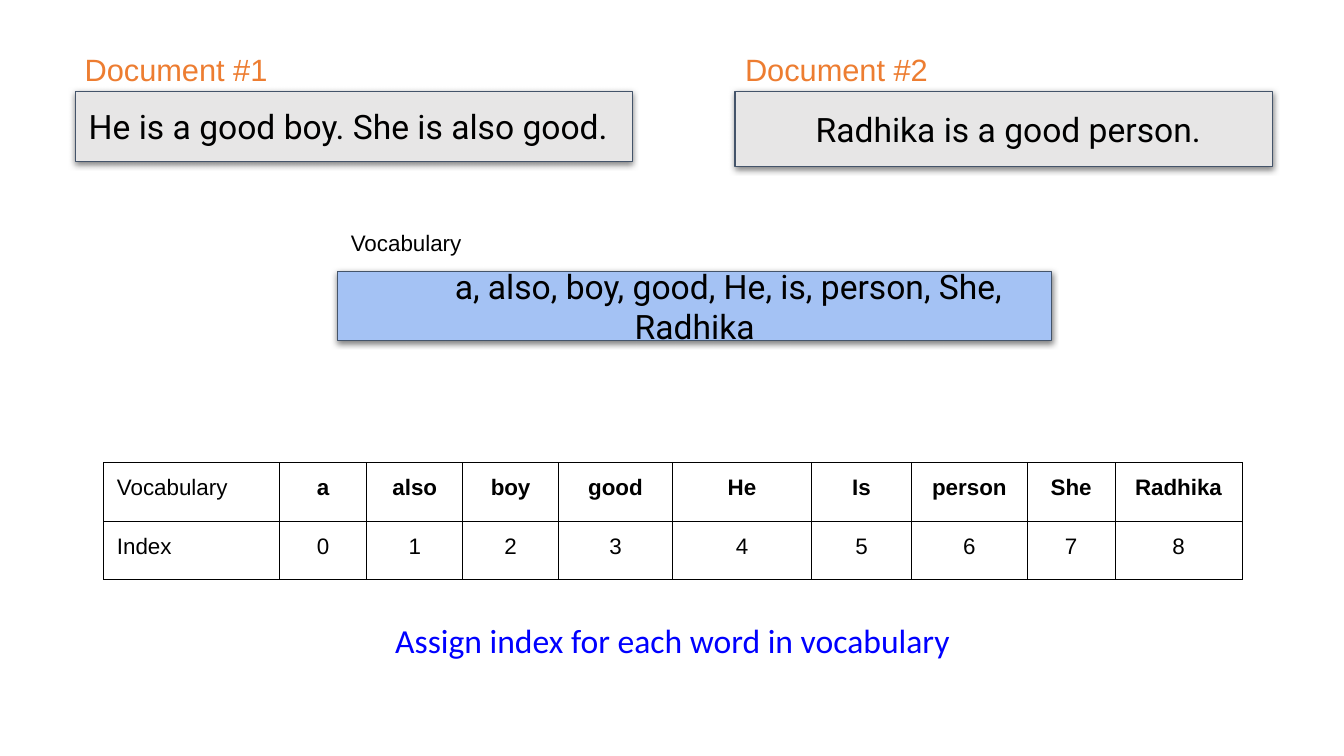
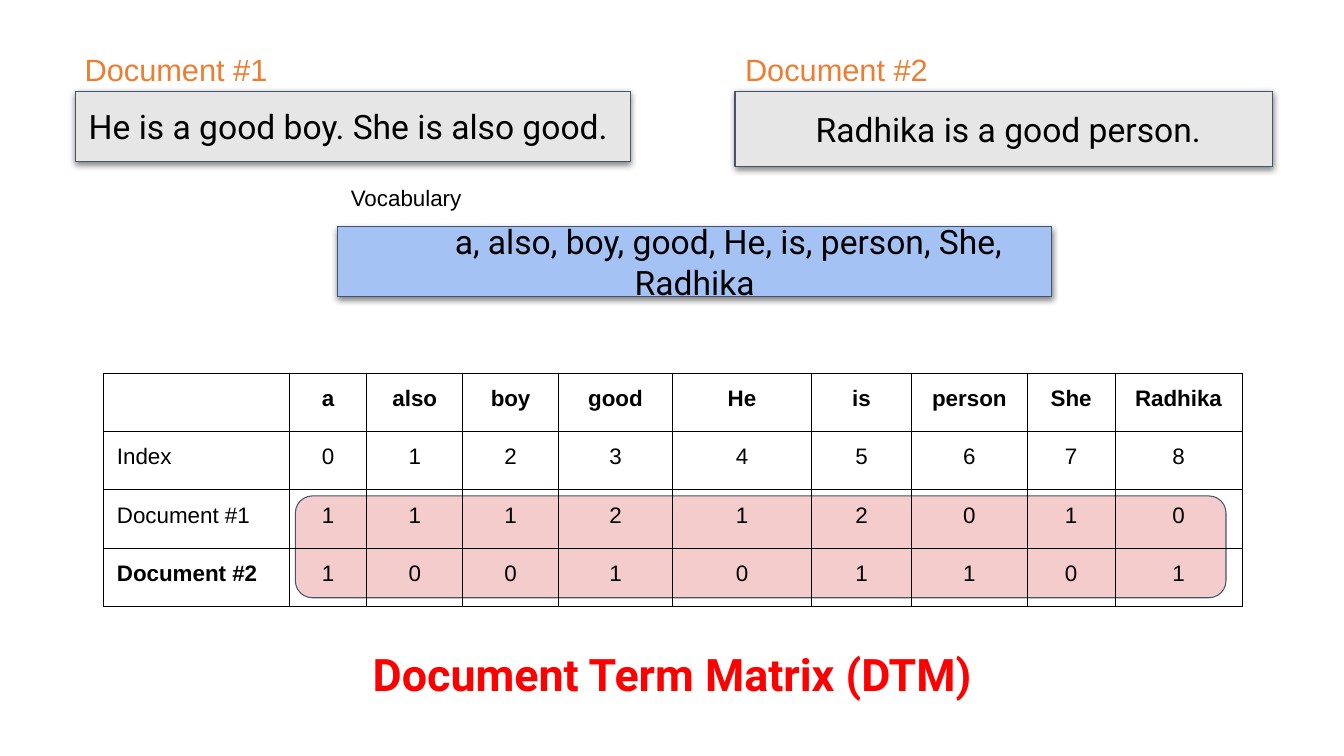
"""Build two slides that turn two short documents into a document term matrix."""
from lxml.etree import SubElement
from pptx import Presentation
from pptx.dml.color import RGBColor
from pptx.enum.shapes import MSO_SHAPE
from pptx.enum.text import MSO_ANCHOR, MSO_AUTO_SIZE, PP_ALIGN
from pptx.oxml import parse_xml
from pptx.oxml.ns import nsdecls, qn
from pptx.util import Inches, Pt

BLACK, ORANGE, SLATE = "000000", "ED7D31", "44546A"
GREY, SKY, PINK = "E7E6E6", "A4C2F4", "F4CCCC"
MARGIN = Inches(0.13)
ROW_HEIGHT = 0.58
WORD_WIDTHS = [0.95, 0.95, 1.13, 1.38, 0.99, 1.15, 0.87, 1.26]
SHADOW = (f'<a:effectLst {nsdecls("a")}><a:outerShdw blurRad="57150" dist="19050" '
          'dir="5400000" algn="bl" rotWithShape="0"><a:srgbClr val="000000">'
          '<a:alpha val="50000"/></a:srgbClr></a:outerShdw></a:effectLst>')


def colour(value):
    return RGBColor.from_string(value)


def write(frame, text, size, font="Arial", ink=BLACK, bold=False,
          align=PP_ALIGN.LEFT, anchor=MSO_ANCHOR.TOP, indent=0):
    frame.word_wrap = True
    frame.auto_size = MSO_AUTO_SIZE.NONE
    frame.vertical_anchor = anchor
    frame.margin_left = frame.margin_right = MARGIN
    frame.margin_top = frame.margin_bottom = MARGIN
    para = frame.paragraphs[0]
    para.text = text
    para.alignment = align
    para._p.get_or_add_pPr().set("indent", str(Inches(indent)))
    para.font.size = Pt(size)
    para.font.name = font
    para.font.bold = bold
    para.font.color.rgb = colour(ink)


deck = Presentation()
deck.slide_width, deck.slide_height = Inches(13.33), Inches(7.5)

INDEX_ROW = ["Index", *"012345678"]
pages = [
    dict(title="Assign index for each word in vocabulary", title_top=6.04,
         title_style=dict(size=24, font="Calibri", ink="0000FF"),
         first_width=5.52, vocabulary_top=2.14, table_top=4.59,
         lead_widths=[1.74, 0.87], highlight=None,
         rows=[["Vocabulary", "a", "also", "boy", "good", "He", "Is", "person", "She", "Radhika"],
               INDEX_ROW]),
    dict(title="Document Term Matrix (DTM)", title_top=6.37,
         title_style=dict(size=32, font="Roboto", ink="FF0000", bold=True),
         first_width=5.5, vocabulary_top=1.7, table_top=3.7,
         lead_widths=[1.84, 0.77], highlight=(2.93, 4.92, 9.23, 1.01),
         rows=[["", "a", "also", "boy", "good", "He", "is", "person", "She", "Radhika"],
               INDEX_ROW,
               ["Document #1", *"111212010"],
               ["Document #2", *"100101101"]]),
]

for content in pages:
    page = deck.slides.add_slide(deck.slide_layouts[5])
    title = page.shapes.title
    title.left, title.top = Inches(1.38), Inches(content["title_top"])
    title.width, title.height = Inches(10.58), Inches(0.62)
    write(title.text_frame, content["title"], align=PP_ALIGN.CENTER,
          anchor=MSO_ANCHOR.MIDDLE, **content["title_style"])

    if content["highlight"]:
        highlight = page.shapes.add_shape(
            MSO_SHAPE.ROUNDED_RECTANGLE, *map(Inches, content["highlight"]))
        highlight.shadow.inherit = False
        highlight.fill.solid()
        highlight.fill.fore_color.rgb = colour(PINK)
        highlight.line.color.rgb = colour(SLATE)
        highlight.line.width = Pt(0.75)

    vocabulary_top = content["vocabulary_top"]
    boxes = [
        (0.75, 0.91, content["first_width"], 0.69, GREY,
         "He is a good boy. She is also good.", PP_ALIGN.LEFT, 0),
        (7.29, 0.91, 5.33, 0.74, GREY,
         "Radhika is a good person.", PP_ALIGN.LEFT, 0.67),
        (3.35, vocabulary_top + 0.55, 7.08, 0.69, SKY,
         "a, also, boy, good, He, is, person, She, Radhika", PP_ALIGN.CENTER, 0.67),
    ]
    for left, top, width, height, fill, text, align, indent in boxes:
        box = page.shapes.add_shape(
            MSO_SHAPE.RECTANGLE, *map(Inches, (left, top, width, height)))
        box.fill.solid()
        box.fill.fore_color.rgb = colour(fill)
        box.line.color.rgb = colour(SLATE)
        box.line.width = Pt(0.75)
        box._element.spPr.append(parse_xml(SHADOW))
        write(box.text_frame, text, 24, "Roboto", align=align,
              anchor=MSO_ANCHOR.MIDDLE, indent=indent)

    labels = [
        ("Document #1", 0.71, 0.37, 5.33, 22, ORANGE),
        ("Document #2", 7.26, 0.37, 5.33, 22, ORANGE),
        ("Vocabulary", 3.35, vocabulary_top, 6.64, 16, BLACK),
    ]
    for text, left, top, width, size, ink in labels:
        label = page.shapes.add_textbox(*map(Inches, (left, top, width, 0.55)))
        write(label.text_frame, text, size, ink=ink)

    rows = content["rows"]
    widths = content["lead_widths"] + WORD_WIDTHS
    table = page.shapes.add_table(
        len(rows), len(widths), Inches(1.03), Inches(content["table_top"]),
        Inches(sum(widths)), Inches(ROW_HEIGHT * len(rows))).table
    table.first_row = table.horz_banding = False
    for column, width in zip(table.columns, widths):
        column.width = Inches(width)
    for row_number, row in enumerate(rows):
        table.rows[row_number].height = Inches(ROW_HEIGHT)
        for column_number, text in enumerate(row):
            cell = table.cell(row_number, column_number)
            is_word = row_number == 0 and column_number > 0
            write(cell.text_frame, text, 16, bold=is_word or text == "Document #2",
                  align=PP_ALIGN.CENTER if column_number else PP_ALIGN.LEFT)
            cell.margin_left = cell.margin_right = MARGIN
            cell.margin_top = cell.margin_bottom = MARGIN
            properties = cell._tc.get_or_add_tcPr()
            for side in ("a:lnL", "a:lnR", "a:lnT", "a:lnB"):
                border = SubElement(properties, qn(side), w=str(Pt(0.75)))
                paint = SubElement(border, qn("a:solidFill"))
                SubElement(paint, qn("a:srgbClr"), val=BLACK)
            cell.fill.background()

deck.save("out.pptx")
